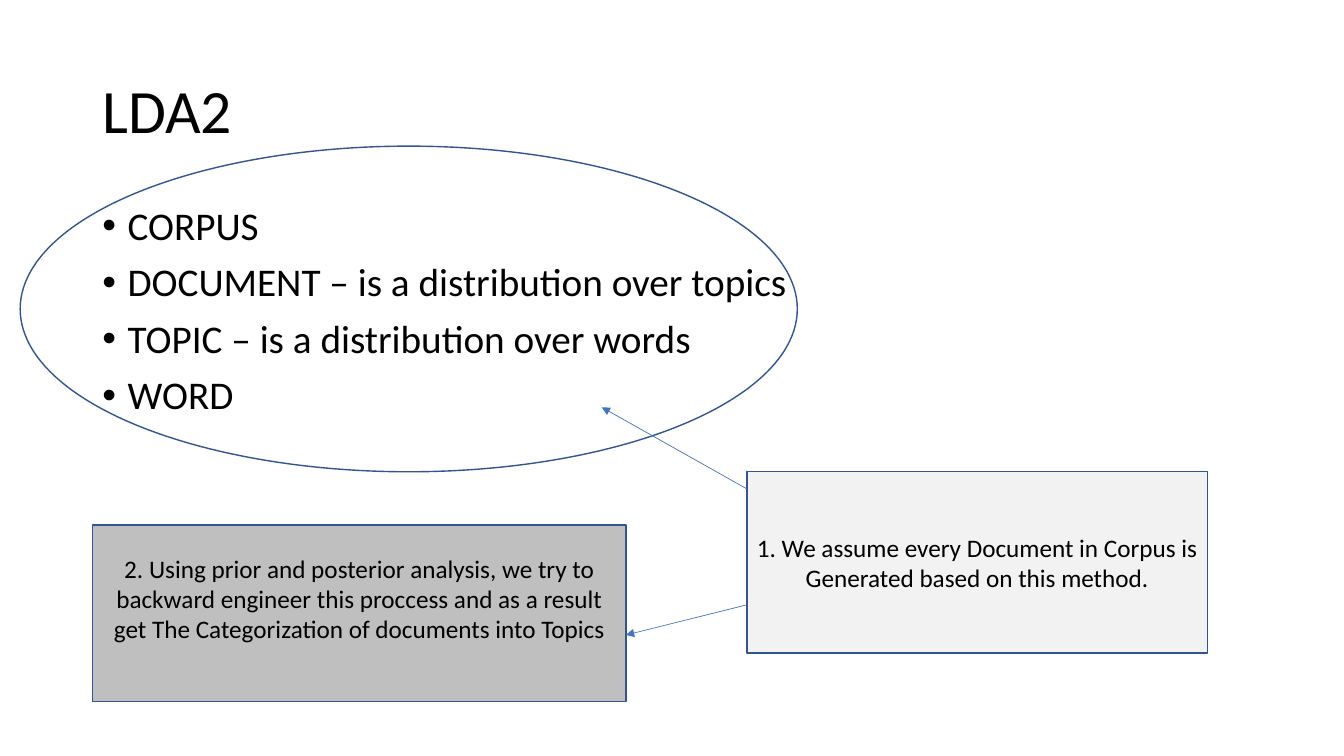
from pptx import Presentation
from pptx import util as u
from pptx.dml.color import RGBColor
from pptx.enum import shapes, text
from pptx.oxml.ns import qn
from lxml import etree

# Content; boxes are left, top, width, height in points
TITLE = ("LDA2", (66, 28.8, 828, 104.4))
TERMS = (["CORPUS",
          "DOCUMENT – is a distribution over topics",
          "TOPIC – is a distribution over words",
          "WORD"], (66, 144, 828, 342.7))
ASSUMPTION = ["1. We assume every Document in Corpus is",
              "Generated based on this method."]
INFERENCE = ["2. Using prior and posterior analysis, we try to backward engineer "
             "this proccess and as a result get The Categorization of documents "
             "into Topics"]
RECT, OVAL = shapes.MSO_SHAPE.RECTANGLE, shapes.MSO_SHAPE.OVAL
# kind, box, fill, lines, bottom inset
SHAPES = [
    (RECT, (533.5, 337, 329, 129.6), "light", ASSUMPTION, 3.6),
    (OVAL, (14.4, 104.4, 555.1, 232.6), None, [], 3.6),
    (RECT, (66.2, 375.1, 380.9, 126), "grey", INFERENCE, 25.2),
]
ARROWS = [((533.5, 349.2), (429.8, 290.9)), ((533.5, 432), (447.1, 453.6))]

THEME = {
    "font": "Calibri", "title": 44, "body": 28, "note": 18,
    "ink": "000000", "light": "F2F2F2", "grey": "BFBFBF",
    "outline": "325491", "arrow": "4472C4",
}


def color(name):
    return RGBColor.from_string(THEME[name])


def points(values):
    return [u.Pt(v) for v in values]


def write(tf, lines, size, align, spacing=None, before=None):
    tf.text = "\n".join(lines)
    tf.word_wrap = True
    tf.auto_size = text.MSO_AUTO_SIZE.NONE
    for p in tf.paragraphs:
        p.alignment = align
        p.line_spacing = spacing
        if before is not None:
            p.space_before = u.Pt(before)
        for r in p.runs:
            r.font.name = THEME["font"]
            r.font.size = u.Pt(THEME[size])
            r.font.color.rgb = color("ink")


def place(sp, box):
    sp.left, sp.top, sp.width, sp.height = points(box)


prs = Presentation()
prs.slide_width, prs.slide_height = points((960, 540))
s = prs.slides.add_slide(prs.slide_layouts[1])

# Title
title, title_box = TITLE
place(s.shapes.title, title_box)
write(s.shapes.title.text_frame, [title], "title", text.PP_ALIGN.LEFT, 0.9)
s.shapes.title.text_frame.vertical_anchor = text.MSO_ANCHOR.MIDDLE

# Bulleted terms
terms, terms_box = TERMS
body = s.placeholders[1]
place(body, terms_box)
write(body.text_frame, terms, "body", text.PP_ALIGN.LEFT, 0.9, 10)
for p in body.text_frame.paragraphs:
    pPr = p._p.get_or_add_pPr()
    pPr.set("marL", str(u.Pt(18)))
    pPr.set("indent", str(u.Pt(-18)))

# Notes and the ellipse around the terms
for kind, box, fill, lines, inset in SHAPES:
    sp = s.shapes.add_shape(kind, *points(box))
    sp.shadow.inherit = False
    sp.line.color.rgb = color("outline")
    sp.line.width = u.Pt(1)
    if fill:
        sp.fill.solid()
        sp.fill.fore_color.rgb = color(fill)
    else:
        sp.fill.background()
    if lines:
        tf = sp.text_frame
        write(tf, lines, "note", text.PP_ALIGN.CENTER)
        tf.vertical_anchor = text.MSO_ANCHOR.MIDDLE
        tf.margin_bottom = u.Pt(inset)

# Arrows from the assumption
for start, end in ARROWS:
    c = s.shapes.add_connector(shapes.MSO_CONNECTOR.STRAIGHT, *points(start + end))
    c.line.color.rgb = color("arrow")
    c.line.width = u.Pt(0.5)
    etree.SubElement(c.line._get_or_add_ln(), qn("a:tailEnd"), type="triangle")
    etree.SubElement(c._element.spPr, qn("a:effectLst"))

prs.save("out.pptx")
